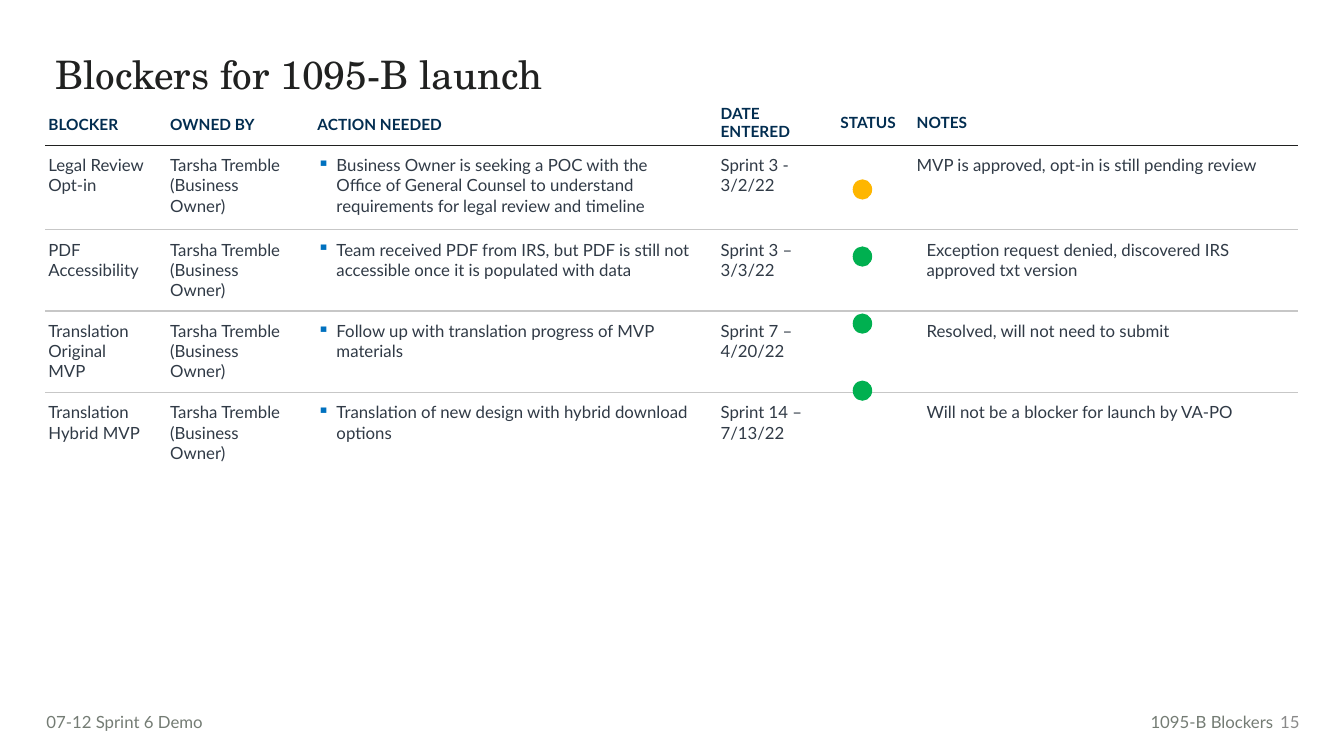
from dataclasses import dataclass

from lxml.etree import SubElement
from pptx import Presentation
from pptx.dml.color import RGBColor as Color
from pptx.enum.shapes import MSO_SHAPE as Shape
from pptx.enum.text import MSO_ANCHOR as Anchor, PP_ALIGN as Align
from pptx.oxml.ns import qn
from pptx.util import Cm, Pt


@dataclass(frozen=True)
class Theme:
    """Fonts, type sizes and colours of the page."""
    serif: str = "TeX Gyre Schola"
    sans: str = "Lato"
    title_size: int = 28
    head_size: int = 11
    body_size: int = 12
    ink: str = "202120"
    navy: str = "022D50"
    slate: str = "303A46"
    rule: str = "C7C7C7"
    bullet: str = "0071BF"
    footer: str = "747C74"
    number: str = "8A8A8A"
    pending: str = "FEB600"
    resolved: str = "00B050"


HEADINGS = ["BLOCKER", "OWNED BY", "ACTION NEEDED", "DATE\nENTERED", "STATUS", "NOTES"]
BLOCKERS = [
    ["Legal Review\nOpt-in", "Tarsha Tremble (Business Owner)",
     "Business Owner is seeking a POC with the Office of General Counsel "
     "to understand requirements for legal review and timeline",
     "Sprint 3 -\n3/2/22", "", "MVP is approved, opt-in is still pending review"],
    ["PDF Accessibility", "Tarsha Tremble (Business Owner)",
     "Team received PDF from IRS, but PDF is still not accessible once it is populated with data",
     "Sprint 3 – 3/3/22", "", "Exception request denied, discovered IRS approved txt version"],
    ["Translation\nOriginal MVP", "Tarsha Tremble\n(Business Owner)",
     "Follow up with translation progress of MVP materials",
     "Sprint 7 –\n4/20/22", "", "Resolved, will not need to submit"],
    ["Translation\nHybrid MVP", "Tarsha Tremble\n(Business Owner)",
     "Translation of new design with hybrid download options",
     "Sprint 14 –\n7/13/22", "", "Will not be a blocker for launch by VA-PO"],
]
COLUMN_WIDTHS = [3.07, 3.71, 10.16, 3.02, 1.75, 9.86]
ROW_HEIGHTS = [1.12, 2.13, 2.05, 2.05, 2.05]
ACTION, DATE, STATUS, NOTES = 2, 3, 4, 5


class PageBuilder:
    """Draws styled elements on the current slide."""

    def __init__(self, page, theme):
        self.page = page
        self.theme = theme

    def style(self, frame, size, color, font=None, bold=False):
        """Apply one look to every run of a text frame."""
        for para in frame.paragraphs:
            for span in para.runs:
                span.font.name = font or self.theme.sans
                span.font.size = Pt(size)
                span.font.bold = bold
                span.font.color.rgb = Color.from_string(color)

    def text(self, words, place, size, color, font=None, align=Align.LEFT,
             anchor=Anchor.TOP, inset=0.25, spacing=1.0):
        """Add a text box."""
        box = self.page.shapes.add_textbox(*map(Cm, place))
        frame = box.text_frame
        frame.word_wrap = True
        frame.vertical_anchor = anchor
        frame.margin_left = Cm(inset)
        frame.text = words
        para = frame.paragraphs[0]
        para.alignment = align
        para.line_spacing = spacing
        self.style(frame, size, color, font)

    def dot(self, left, top, color):
        """Add a status dot."""
        dot = self.page.shapes.add_shape(Shape.OVAL, Cm(left), Cm(top), Cm(0.49), Cm(0.51))
        dot.shadow.inherit = False
        dot.fill.solid()
        dot.fill.fore_color.rgb = Color.from_string(color)
        dot.line.fill.background()

    def borders(self, cell, top, bottom):
        """Draw the top and bottom rules of a cell, and no side rules."""
        properties = cell._tc.get_or_add_tcPr()
        for side, color in (("L", None), ("R", None), ("T", top), ("B", bottom)):
            line = SubElement(properties, qn(f"a:ln{side}"), w=str(Pt(1)))
            if color:
                SubElement(SubElement(line, qn("a:solidFill")), qn("a:srgbClr"), val=color)
            else:
                SubElement(line, qn("a:noFill"))

    def indent(self, para, left, bullet=False):
        """Indent a paragraph, with a hanging square bullet if asked."""
        properties = para._p.get_or_add_pPr()
        properties.set("marL", str(Cm(left)))
        properties.set("indent", str(Cm(-left if bullet else 0)))
        if bullet:
            color = SubElement(properties, qn("a:buClr"))
            SubElement(color, qn("a:srgbClr"), val=self.theme.bullet)
            SubElement(properties, qn("a:buChar"), char="▪")

    def head_cell(self, cell, column):
        """Style a heading cell."""
        cell.margin_top = cell.margin_bottom = Cm(0.08)
        cell.vertical_anchor = Anchor.TOP if column == DATE else Anchor.MIDDLE
        if column < DATE:
            cell.text_frame.paragraphs[0].line_spacing = 1.15
        self.style(cell.text_frame, self.theme.head_size, self.theme.navy, bold=True)

    def body_cell(self, cell, row, column):
        """Style a body cell."""
        cell.margin_top = cell.margin_bottom = Cm(0.25)
        if column < DATE:
            cell.margin_right = Cm(0.51)
        para = cell.text_frame.paragraphs[0]
        if column == ACTION:
            self.indent(para, 0.48, bullet=True)
        elif column == NOTES and row > 1:
            self.indent(para, 0.25)
        self.style(cell.text_frame, self.theme.body_size, self.theme.slate)

    def table(self, rows, left, top):
        """Add the ruled table of blockers."""
        frame = self.page.shapes.add_table(
            len(rows), len(COLUMN_WIDTHS), Cm(left), Cm(top),
            Cm(sum(COLUMN_WIDTHS)), Cm(sum(ROW_HEIGHTS)))
        table = frame.table
        table.horz_banding = False
        for column, width in zip(table.columns, COLUMN_WIDTHS):
            column.width = Cm(width)
        for row, height in zip(table.rows, ROW_HEIGHTS):
            row.height = Cm(height)
        rules = [None, self.theme.ink] + [self.theme.rule] * (len(rows) - 2) + [None]
        for r, texts in enumerate(rows):
            for c, words in enumerate(texts):
                cell = table.cell(r, c)
                cell.text_frame.text = words
                cell.margin_left = Cm(0.25 if c == NOTES else 0.08)
                cell.margin_right = Cm(0.08)
                self.borders(cell, rules[r], rules[r + 1])
                cell.fill.background()
                if r == 0:
                    self.head_cell(cell, c)
                else:
                    self.body_cell(cell, r, c)


def main():
    """Build and save the deck."""
    deck = Presentation()
    deck.slide_width, deck.slide_height = Cm(33.87), Cm(19.05)
    theme = Theme()
    builder = PageBuilder(deck.slides.add_slide(deck.slide_layouts[6]), theme)

    builder.text("Blockers for 1095-B launch", (1.14, 1.27, 22.38, 3.68),
                 theme.title_size, theme.ink, theme.serif, spacing=0.9)
    builder.table([HEADINGS] + BLOCKERS, 1.14, 2.54)
    for index, color in enumerate([theme.pending] + [theme.resolved] * 3):
        builder.dot(21.49, 4.52 + 1.69 * index, color)

    builder.text("07-12 Sprint 6 Demo", (1.17, 17.81, 7.57, 0.76),
                 theme.body_size, theme.footer, inset=0)
    builder.text("1095-B Blockers", (28.17, 17.81, 4.17, 0.76),
                 theme.body_size, theme.footer, align=Align.RIGHT)
    builder.text("15", (31.88, 17.68, 1.12, 1.02), theme.body_size, theme.number,
                 align=Align.RIGHT, anchor=Anchor.MIDDLE)
    deck.save("out.pptx")


if __name__ == "__main__":
    main()
